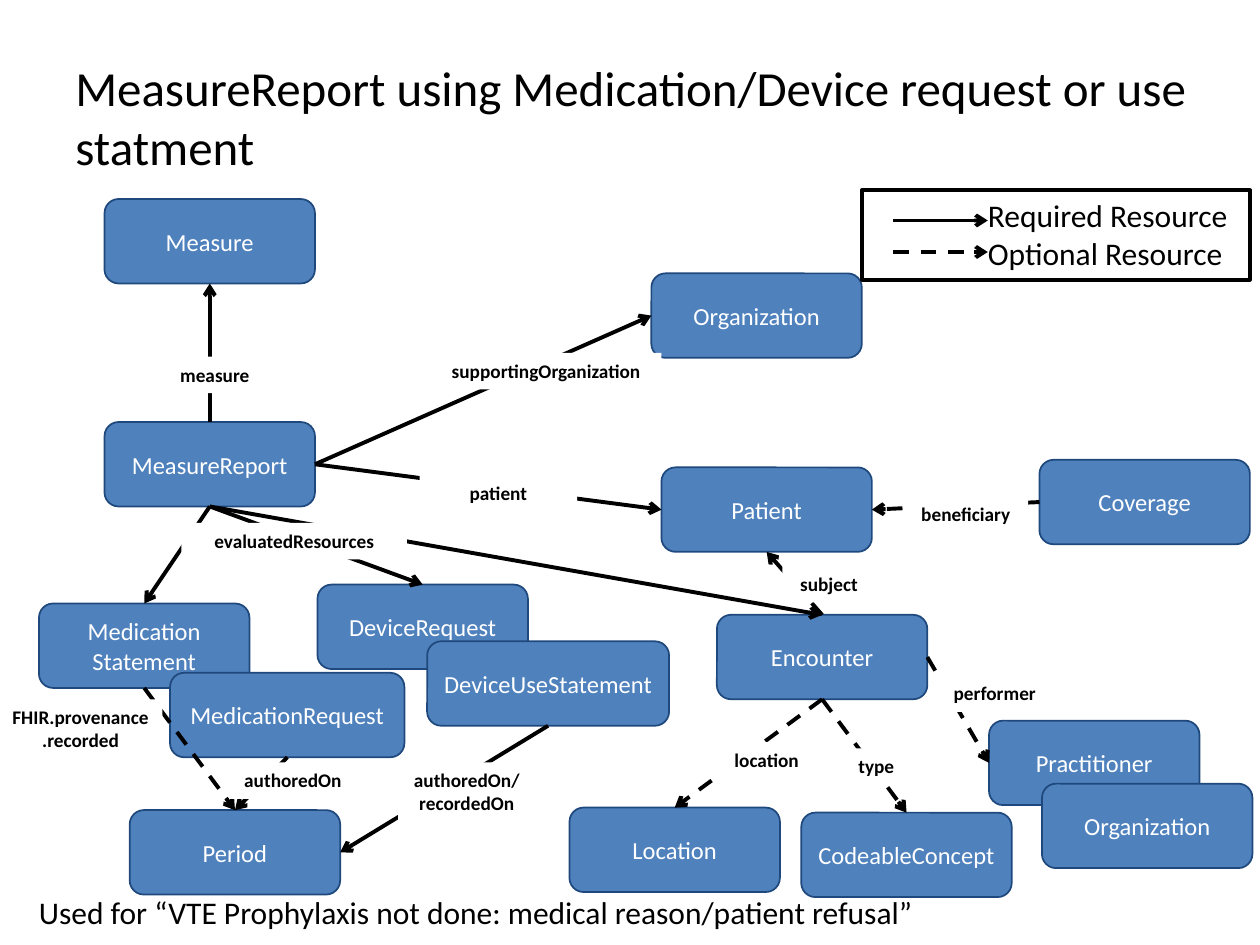
from typing import NamedTuple

from lxml.etree import SubElement
from pptx import Presentation
from pptx.dml.color import RGBColor
from pptx.enum.dml import MSO_LINE
from pptx.enum.shapes import MSO_CONNECTOR, MSO_SHAPE
from pptx.enum.text import MSO_ANCHOR, MSO_AUTO_SIZE, PP_ALIGN
from pptx.oxml.ns import qn
from pptx.util import Inches, Pt

BLACK = RGBColor(0x00, 0x00, 0x00)
WHITE = RGBColor(0xFF, 0xFF, 0xFF)
BLUE = RGBColor(0x4F, 0x81, 0xBD)
NAVY = RGBColor(0x1F, 0x49, 0x7D)

TOP, LEFT, BOTTOM, RIGHT = range(4)
NODE_WIDTH, NODE_HEIGHT = 1.67, 0.67

NODES = {
    "measure": (["Measure"], 0.83, 0.08, NODE_WIDTH),
    "report": (["MeasureReport"], 0.83, 1.85, NODE_WIDTH),
    "supporter": (["Organization"], 5.17, 0.67, NODE_WIDTH),
    "patient": (["Patient"], 5.25, 2.21, NODE_WIDTH),
    "encounter": (["Encounter"], 5.69, 3.38, NODE_WIDTH),
    "location": (["Location"], 4.52, 4.91, NODE_WIDTH),
    "coverage": (["Coverage"], 8.25, 2.15, NODE_WIDTH),
    "concept": (["CodeableConcept"], 6.36, 4.95, NODE_WIDTH),
    "practitioner": (["Practitioner"], 7.85, 4.22, NODE_WIDTH),
    "performer": (["Organization"], 8.27, 4.72, NODE_WIDTH),
    "medication": (["Medication", "Statement"], 0.31, 3.29, NODE_WIDTH),
    "medication_request": (["MedicationRequest"], 1.35, 3.84, 1.86),
    "period": (["Period"], 1.03, 4.93, NODE_WIDTH),
    "device_request": (["DeviceRequest"], 2.52, 3.14, NODE_WIDTH),
    "device_use": (["DeviceUseStatement"], 3.39, 3.59, 1.92),
}

LINKS = [
    ("report", TOP, "measure", BOTTOM, False),
    ("report", BOTTOM, "encounter", TOP, False),
    ("report", RIGHT, "supporter", LEFT, False),
    ("report", RIGHT, "patient", LEFT, False),
    ("report", BOTTOM, "medication", TOP, False),
    ("report", BOTTOM, "device_request", TOP, False),
    ("device_use", BOTTOM, "period", RIGHT, False),
    ("encounter", BOTTOM, "location", TOP, True),
    ("encounter", BOTTOM, "concept", TOP, True),
    ("encounter", TOP, "patient", BOTTOM, True),
    ("encounter", RIGHT, "practitioner", LEFT, True),
    ("coverage", LEFT, "patient", RIGHT, True),
    ("medication_request", BOTTOM, "period", TOP, True),
    ("medication", BOTTOM, "period", TOP, True),
]

LABELS = [
    (["measure"], 1.08, 1.33, 1.25, 0.29),
    (["supportingOrganization"], 3.42, 1.3, 1.83, 0.29),
    (["patient"], 3.33, 2.27, 1.25, 0.29),
    (["beneficiary"], 7.17, 2.44, 0.99, 0.29),
    (["performer"], 7.42, 3.86, 0.95, 0.29),
    (["location"], 5.65, 4.39, 0.87, 0.29),
    (["type"], 6.65, 4.44, 0.61, 0.29),
    (["subject"], 6.21, 2.99, 0.74, 0.29),
    (["authoredOn"], 1.82, 4.55, 1.01, 0.29),
    (["FHIR.provenance.recorded"], -0.01, 4.05, 1.3, 0.47),
    (["evaluatedResources"], 1.44, 2.65, 1.79, 0.29),
    (["authoredOn/", "recordedOn"], 3.16, 4.55, 1.09, 0.47),
]


class Box(NamedTuple):
    """A rectangle in inches."""

    left: float
    top: float
    width: float
    height: float

    def inner(self, left, top, width, height):
        """Return a box placed relative to this one."""
        return Box(self.left + left, self.top + top, width, height)

    def lengths(self):
        """Return the four sides as slide lengths."""
        return [Inches(value) for value in self]


def write(shape, lines, size, color=BLACK, bold=False, align=PP_ALIGN.LEFT,
          anchor=MSO_ANCHOR.TOP):
    """Write each line as a paragraph with one run."""
    frame = shape.text_frame
    frame.word_wrap = True
    frame.vertical_anchor = anchor
    for index, line in enumerate(lines):
        para = frame.add_paragraph() if index else frame.paragraphs[0]
        para.alignment = align
        span = para.add_run()
        span.text = line
        span.font.name = "Calibri"
        span.font.size = Pt(size)
        span.font.bold = bold
        span.font.color.rgb = color


def add_text(page, box, lines, size, **style):
    """Add a text box."""
    shape = page.shapes.add_textbox(*box.lengths())
    write(shape, lines, size, **style)
    return shape


def add_arrow(page, start, end, dashed):
    """Add a straight arrow between two points in inches."""
    ends = [Inches(value) for value in (*start, *end)]
    arrow = page.shapes.add_connector(MSO_CONNECTOR.STRAIGHT, *ends)
    arrow.line.color.rgb = BLACK
    arrow.line.width = Pt(2.25)
    if dashed:
        arrow.line.dash_style = MSO_LINE.DASH
    SubElement(arrow.line._get_or_add_ln(), qn("a:tailEnd"), type="arrow")
    SubElement(arrow._element.spPr, qn("a:effectLst"))
    return arrow


def add_node(page, box, lines):
    """Add a rounded resource node."""
    node = page.shapes.add_shape(
        MSO_SHAPE.FLOWCHART_ALTERNATE_PROCESS, *box.lengths())
    node.shadow.inherit = False
    node.fill.solid()
    node.fill.fore_color.rgb = BLUE
    node.line.color.rgb = NAVY
    node.line.width = Pt(1)
    write(node, lines, 14, WHITE, align=PP_ALIGN.CENTER,
          anchor=MSO_ANCHOR.MIDDLE)
    return node


def add_label(page, box, lines):
    """Add a white link label."""
    label = add_text(page, box, lines, 11, bold=True, align=PP_ALIGN.CENTER)
    label.fill.solid()
    label.fill.fore_color.rgb = WHITE
    label.text_frame.auto_size = MSO_AUTO_SIZE.SHAPE_TO_FIT_TEXT


def add_diagram(page, box):
    """Add the nodes, the links between them and the link labels."""
    nodes = {}
    for name, (lines, left, top, width) in NODES.items():
        nodes[name] = add_node(
            page, box.inner(left, top, width, NODE_HEIGHT), lines)
    for source, source_side, target, target_side, dashed in LINKS:
        corner = (box.left, box.top)
        arrow = add_arrow(page, corner, corner, dashed)
        arrow.begin_connect(nodes[source], source_side)
        arrow.end_connect(nodes[target], target_side)
    for lines, *place in LABELS:
        add_label(page, box.inner(*place), lines)


def add_legend(page, box):
    """Add the framed key to solid and dashed arrows."""
    frame = add_text(page, box, ["Required Resource", "Optional Resource"], 18)
    frame.text_frame.margin_left = Inches(1)
    frame.text_frame.auto_size = MSO_AUTO_SIZE.SHAPE_TO_FIT_TEXT
    frame.line.color.rgb = BLACK
    frame.line.width = Pt(2.25)
    for drop, dashed in ((0.24, False), (0.49, True)):
        height = box.top + drop
        add_arrow(page, (box.left + 0.25, height), (box.left + 1, height), dashed)


def main():
    """Build and save the deck."""
    deck = Presentation()
    deck.slide_width, deck.slide_height = Inches(10), Inches(7.5)
    page = deck.slides.add_slide(deck.slide_layouts[6])
    add_text(page, Box(0.5, 0.3, 9.25, 1.25),
             ["MeasureReport using Medication/Device request or use statment"],
             28, anchor=MSO_ANCHOR.MIDDLE)
    add_diagram(page, Box(0, 1.5, 10, 5.62))
    add_legend(page, Box(6.84, 1.51, 3.08, 0.71))
    add_text(page, Box(0.21, 7.04, 9.71, 0.4),
             ["Used for “VTE Prophylaxis not done: medical reason/patient refusal”"],
             18)
    deck.save("out.pptx")


if __name__ == "__main__":
    main()
